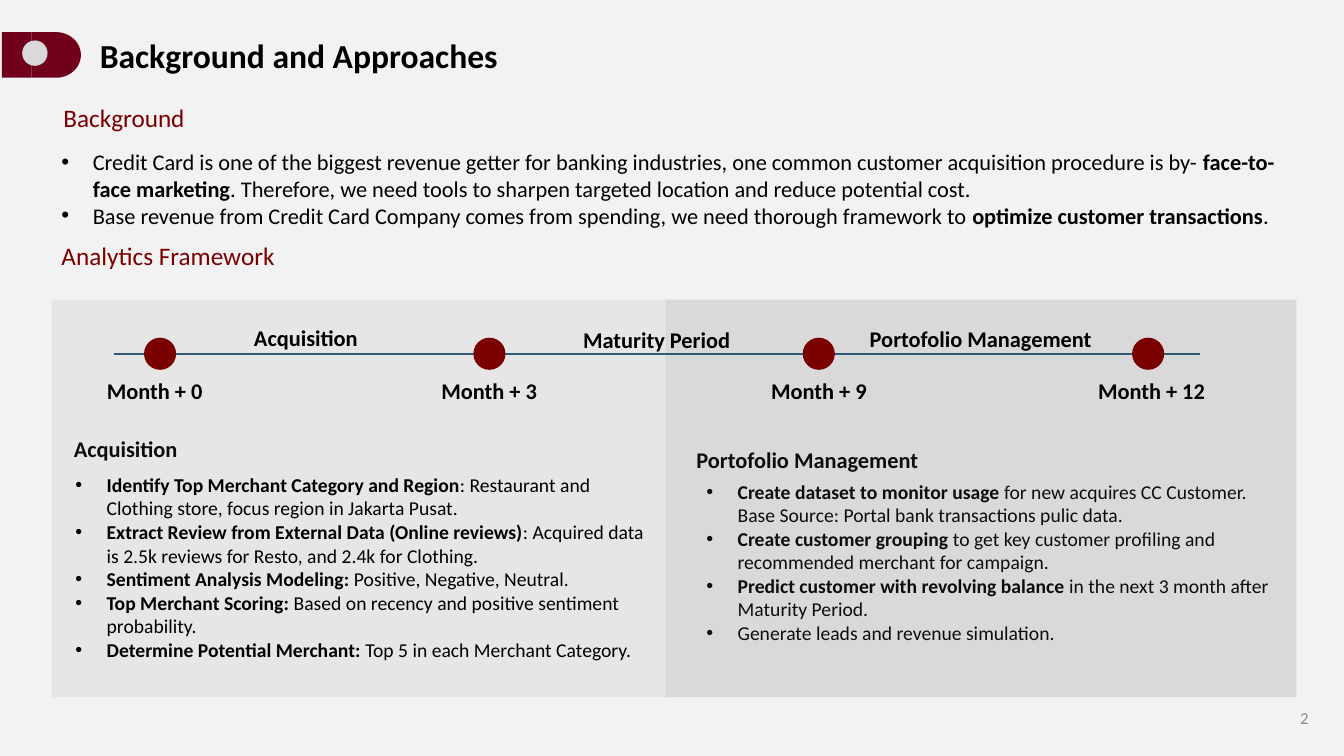
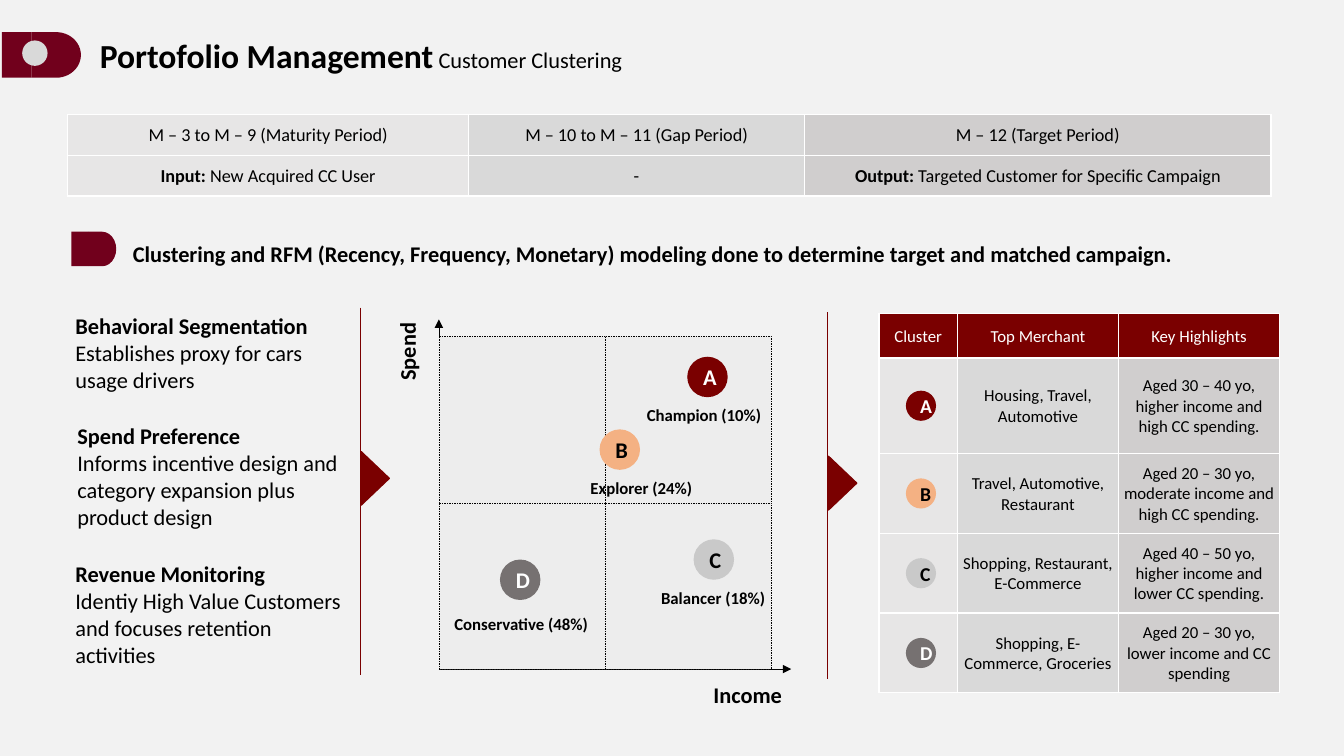
import lxml.etree
import pptx
import pptx.dml.color
import pptx.enum.dml
import pptx.enum.shapes
import pptx.enum.text
import pptx.oxml
import pptx.oxml.ns
import pptx.util

Cm = pptx.util.Cm
Pt = pptx.util.Pt
qn = pptx.oxml.ns.qn
SHAPE = pptx.enum.shapes.MSO_SHAPE
ALIGN = pptx.enum.text.PP_ALIGN
ANCHOR = pptx.enum.text.MSO_ANCHOR

FONT = "Calibri"
BLACK, SOFT_BLACK, WHITE = "000000", "0D0D0D", "FFFFFF"
MAROON, WINE, PAPER = "7A0000", "71001C", "F2F2F2"
COLUMN_GREYS = ("E7E6E6", "D9D9D9", "D0CECE")

CLUSTERS = (
    # letter, fill, letter colour, circle place, label, label place and width, merchants, highlights
    ("A", MAROON, WHITE, (17.32, 8.99), "Champion (10%)", (16.05, 10.08, 3.45),
     "Housing, Travel, Automotive",
     "Aged 30 – 40 yo,\vhigher income and high CC spending."),
    ("B", "F4B183", BLACK, (15.11, 10.82), "Explorer (24%)", (14.63, 11.91, 3.12),
     "Travel, Automotive, Restaurant",
     "Aged 20 – 30 yo,\vmoderate income and high CC spending."),
    ("C", "C9C9C9", BLACK, (17.48, 13.59), "Balancer (18%)", (16.41, 14.68, 3.18),
     "Shopping, Restaurant, E-Commerce",
     "Aged 40 – 50 yo,\vhigher income and lower CC spending."),
    ("D", "767171", WHITE, (12.6, 14.1), "Conservative (48%)", (11.2, 15.34, 3.91),
     "Shopping, E-Commerce, Groceries",
     "Aged 20 – 30 yo,\vlower income and CC spending"),
)


def rgb(value):
    return pptx.dml.color.RGBColor.from_string(value)


class Composer:
    """Holds the deck, its style and the page being filled; lengths are in cm."""

    def __init__(self):
        self.deck = pptx.Presentation()
        self.deck.slide_width = Cm(33.87)
        self.deck.slide_height = Cm(19.05)
        self.deck.element.set("firstSlideNum", "2")
        background = self.deck.slide_master.background.fill
        background.solid()
        background.fore_color.rgb = rgb(PAPER)
        self.page = None

    def new_page(self, title, width, subtitle=""):
        self.page = self.deck.slides.add_slide(self.deck.slide_layouts.get_by_name("Title Only"))
        box = self.page.shapes.title
        box.left, box.top, box.width, box.height = Cm(2.26), Cm(0.74), Cm(width), Cm(1.27)
        frame = box.text_frame
        frame.auto_size = pptx.enum.text.MSO_AUTO_SIZE.NONE
        frame.word_wrap = False
        frame.vertical_anchor = ANCHOR.TOP
        para = frame.paragraphs[0]
        self.fill_paragraph(para, f"**{title}**", 24)
        if subtitle:
            span = para.add_run()
            span.text = " " + subtitle
            span.font.size, span.font.bold = Pt(16), False
        self.tag(0.05, 0.81, 0.74, 1.25, 1.15)
        self.shape(SHAPE.OVAL, 0.56, 1.02, 0.64, 0.64, "D9D9D9")

    def fill_paragraph(self, para, content, size, color=BLACK, align=ALIGN.LEFT, bullet=False):
        """Set text and style; text between double asterisks is bold."""
        pieces = [(piece, index % 2 == 1)
                  for index, piece in enumerate(content.split("**")) if piece]
        if len(pieces) == 1:
            para.text = pieces[0][0]
        else:
            for piece, bold in pieces:
                span = para.add_run()
                span.text, span.font.bold = piece, bold
        para.alignment = align
        if bullet:
            properties = para._p.get_or_add_pPr()
            properties.set("marL", str(Cm(0.79)))
            properties.set("indent", str(-Cm(0.79)))
            lxml.etree.SubElement(properties, qn("a:buFont"), typeface="Arial")
            lxml.etree.SubElement(properties, qn("a:buChar"), char="•")
        font = para.font
        font.name, font.size, font.color.rgb = FONT, Pt(size), rgb(color)
        if len(pieces) == 1:
            font.bold = pieces[0][1]

    def text(self, left, top, width, height, lines, size=16, color=BLACK,
             align=ALIGN.LEFT, wrap=True, bullet=False):
        box = self.page.shapes.add_textbox(Cm(left), Cm(top), Cm(width), Cm(height))
        frame = box.text_frame
        frame.word_wrap = wrap
        for index, line in enumerate(lines):
            para = frame.add_paragraph() if index else frame.paragraphs[0]
            self.fill_paragraph(para, line, size, color, align, bullet)
        return box

    def panel_heading(self, left, top, width, height, content):
        box = self.text(left, top, width, height, [f"**{content}**"], color=SOFT_BLACK)
        box.text_frame.margin_left = 0
        box.text_frame.vertical_anchor = ANCHOR.MIDDLE

    def page_number(self):
        box = self.text(27.51, 17.58, 5.72, 1.02, [""], 12, "8C8C8C", ALIGN.RIGHT)
        box.text_frame.vertical_anchor = ANCHOR.MIDDLE
        para = box.text_frame.paragraphs[0]
        para._p.append(pptx.oxml.parse_xml(
            '<a:fld xmlns:a="http://schemas.openxmlformats.org/drawingml/2006/main" '
            'id="{B6F15528-21DE-4FAA-801E-634DDDAF4B2B}" type="slidenum">'
            '<a:rPr lang="en-US" sz="1200"><a:solidFill><a:srgbClr val="8C8C8C"/></a:solidFill>'
            f'<a:latin typeface="{FONT}"/></a:rPr><a:t>2</a:t></a:fld>'))

    def shape(self, kind, left, top, width, height, fill, line=None, line_width=1.0):
        shape = self.page.shapes.add_shape(kind, Cm(left), Cm(top), Cm(width), Cm(height))
        shape.shadow.inherit = False
        shape.fill.solid()
        shape.fill.fore_color.rgb = rgb(fill)
        if line:
            shape.line.color.rgb = rgb(line)
            shape.line.width = Pt(line_width)
        else:
            shape.line.fill.background()
        return shape

    def tag(self, left, top, block_width, cap_width, height):
        """Draw a wine block with a rounded right end."""
        self.shape(SHAPE.FLOWCHART_DELAY, left + block_width, top, cap_width, height, WINE)
        self.shape(SHAPE.RECTANGLE, left, top, block_width, height, WINE)

    def badge(self, left, top, diameter, letter, fill, color, size):
        circle = self.shape(SHAPE.OVAL, left, top, diameter, diameter, fill)
        frame = circle.text_frame
        frame.vertical_anchor = ANCHOR.MIDDLE
        self.fill_paragraph(frame.paragraphs[0], f"**{letter}**", size, color, ALIGN.CENTER)

    def line(self, start, end, color, width, arrow=False):
        connector = self.page.shapes.add_connector(
            pptx.enum.shapes.MSO_CONNECTOR.STRAIGHT, *(Cm(value) for value in start + end))
        connector.line.color.rgb = rgb(color)
        connector.line.width = Pt(width)
        if arrow:
            outline = connector.line._get_or_add_ln()
            lxml.etree.SubElement(outline, qn("a:tailEnd"), type="triangle")
        lxml.etree.SubElement(connector._element.spPr, qn("a:effectLst"))

    def divider(self, left, top):
        """Draw a vertical rule with an arrowhead pointing right."""
        self.line((left, top), (left, top + 9.25), MAROON, 0.5)
        arrow = self.shape(SHAPE.ISOSCELES_TRIANGLE, left - 0.29, top + 3.95, 1.35, 0.71,
                           MAROON, MAROON)
        arrow.rotation = 90

    def table(self, left, top, widths, heights, rows, size, header_fill=None):
        frame = self.page.shapes.add_table(len(rows), len(widths), Cm(left), Cm(top),
                                           Cm(sum(widths)), Cm(sum(heights)))
        table = frame.table
        table.first_row = table.horz_banding = False
        for column, width in zip(table.columns, widths):
            column.width = Cm(width)
        for row, height in zip(table.rows, heights):
            row.height = Cm(height)
        for row_index, row in enumerate(rows):
            header = header_fill if row_index == 0 else None
            for column_index, content in enumerate(row):
                cell = table.cell(row_index, column_index)
                cell.fill.solid()
                cell.fill.fore_color.rgb = rgb(header or COLUMN_GREYS[column_index])
                cell.vertical_anchor = ANCHOR.MIDDLE
                cell.margin_left = cell.margin_right = cell.margin_top = Cm(0.03)
                cell.margin_bottom = 0
                if content:
                    self.fill_paragraph(cell.text_frame.paragraphs[0], content, size,
                                        WHITE if header else BLACK, ALIGN.CENTER)


def add_timeline(composer):
    composer.line((2.87, 8.92), (30.25, 8.92), "2F5A78", 1.5)
    for index, (month, label_left) in enumerate(
            ((0, 0.84), (3, 9.27), (9, 17.58), (12, 25.96))):
        composer.shape(SHAPE.OVAL, 3.63 + 8.3 * index, 8.51, 0.81, 0.81, MAROON)
        composer.text(label_left, 9.37, 6.12, 0.94, [f"**Month + {month}**"], align=ALIGN.CENTER)
    for left, top, width, phase in ((5.54, 8.05, 4.34, "Acquisition"),
                                    (14.1, 8.1, 4.9, "Maturity Period"),
                                    (21.59, 8.08, 6.25, "Portofolio Management")):
        composer.text(left, top, width, 0.63, [f"**{phase}**"], align=ALIGN.CENTER)


def add_background_page(composer):
    composer.new_page("Background and Approaches", 10.64)
    composer.page_number()
    composer.text(1.35, 2.46, 3.61, 1.02, ["Background"], 18, MAROON, wrap=False)
    composer.text(1.3, 3.61, 31.72, 2.31, [
        "Credit Card is one of the biggest revenue getter for banking industries, one common "
        "customer acquisition procedure is by- **face-to-face marketing**. Therefore, we need "
        "tools to sharpen targeted location and reduce potential cost.",
        "Base revenue from Credit Card Company comes from spending, we need thorough framework "
        "to **optimize customer transactions**.",
    ], bullet=True)
    composer.text(1.3, 5.94, 5.94, 1.02, ["Analytics Framework"], 18, MAROON, wrap=False)

    composer.shape(SHAPE.RECTANGLE, 1.3, 7.55, 15.47, 10.02, "E7E6E6")
    composer.shape(SHAPE.RECTANGLE, 16.77, 7.55, 15.9, 10.02, "D9D9D9")
    add_timeline(composer)

    composer.panel_heading(1.86, 11.02, 12.24, 0.58, "Acquisition")
    composer.text(1.65, 11.79, 15.11, 5.1, [
        "**Identify Top Merchant Category and Region**: Restaurant and Clothing store, "
        "focus region in Jakarta Pusat.",
        "**Extract Review from External Data (Online reviews)**: Acquired data is 2.5k reviews "
        "for Resto, and 2.4k for Clothing.",
        "**Sentiment Analysis Modeling: **Positive, Negative, Neutral.",
        "**Top Merchant Scoring: **Based on recency and positive sentiment probability.",
        "**Determine Potential Merchant: **Top 5 in each Merchant Category.",
    ], 14, bullet=True)
    composer.panel_heading(17.55, 10.92, 6.1, 1.32, "Portofolio Management")
    composer.text(17.55, 11.96, 14.68, 4.45, [
        "**Create dataset to monitor usage **for new acquires CC Customer. Base Source: Portal "
        "bank transactions pulic data.",
        "**Create customer grouping **to get key customer profiling and recommended merchant "
        "for campaign.",
        "**Predict customer with revolving balance **in the next 3 month after Maturity Period.",
        "Generate leads and revenue simulation.",
    ], 14, SOFT_BLACK, bullet=True)


def add_cluster_map(composer):
    left, top, side = 11.06, 8.48, 4.19
    bottom = top + 2 * side
    composer.line((left, bottom), (left, 8.05), BLACK, 0.5, arrow=True)
    composer.line((left, bottom), (19.94, bottom), BLACK, 0.5, arrow=True)
    spend = composer.text(9.27, 8.38, 1.98, 0.94, ["**Spend**"], wrap=False)
    spend.rotation = 270
    composer.text(17.73, 17.04, 2.26, 0.94, ["**Income**"], wrap=False)
    for column in range(2):
        for row in range(2):
            quadrant = composer.shape(SHAPE.RECTANGLE, left + column * side, top + row * side,
                                      side, side, "EDEDED", BLACK, 0.25)
            quadrant.line.dash_style = pptx.enum.dml.MSO_LINE.DASH
    for letter, fill, color, place, label, (label_left, label_top, width), *_ in CLUSTERS:
        composer.badge(*place, 1.02, letter, fill, color, 16)
        composer.text(label_left, label_top, width, 0.76, [f"**{label}**"], 12, wrap=False)


def add_cluster_table(composer):
    top, heights, diameter = 7.9, (1.12, 2.41, 2.01, 2.01, 2.01), 0.76
    rows = [("Cluster", "Top Merchant", "Key Highlights")]
    rows += [("", *cluster[-2:]) for cluster in CLUSTERS]
    composer.table(22.15, top, (1.98, 4.06, 4.06), heights, rows, 12, MAROON)
    for index, (letter, fill, color, *_) in enumerate(CLUSTERS, start=1):
        middle = top + sum(heights[:index]) + heights[index] / 2
        composer.badge(22.83, middle - diameter / 2, diameter, letter, fill, color, 14)


def add_clustering_page(composer):
    composer.new_page("Portofolio Management", 13.89, "Customer Clustering")
    composer.table(1.7, 2.88, (10.11, 8.46, 11.76), (1.03, 1.03), [
        ("M – 3 to M – 9 (Maturity Period)", "M – 10 to M – 11 (Gap Period)",
         "M – 12 (Target Period)"),
        ("**Input: **New Acquired CC User", "-",
         "**Output: **Targeted Customer for Specific Campaign"),
    ], 13)
    composer.tag(1.8, 5.84, 0.42, 0.71, 0.87)
    composer.text(3.1, 5.92, 27.05, 0.94, [
        "**Clustering and RFM (Recency, Frequency, Monetary) modeling done to determine target "
        "and matched campaign.**"], wrap=False)
    for left, top, height, heading, detail in (
            (1.65, 7.75, 2.31, "Behavioral Segmentation",
             "Establishes proxy for cars usage drivers"),
            (1.7, 10.52, 3.0, "Spend Preference",
             "Informs incentive design and category expansion plus product design"),
            (1.65, 14.0, 3.0, "Revenue Monitoring",
             "Identiy High Value Customers and focuses retention activities")):
        composer.text(left, top, 7.26, height, [f"**{heading}**", detail])
    composer.divider(9.07, 7.75)
    add_cluster_map(composer)
    composer.divider(20.85, 7.87)
    add_cluster_table(composer)


def main():
    composer = Composer()
    add_background_page(composer)
    add_clustering_page(composer)
    composer.deck.save("out.pptx")


if __name__ == "__main__":
    main()
